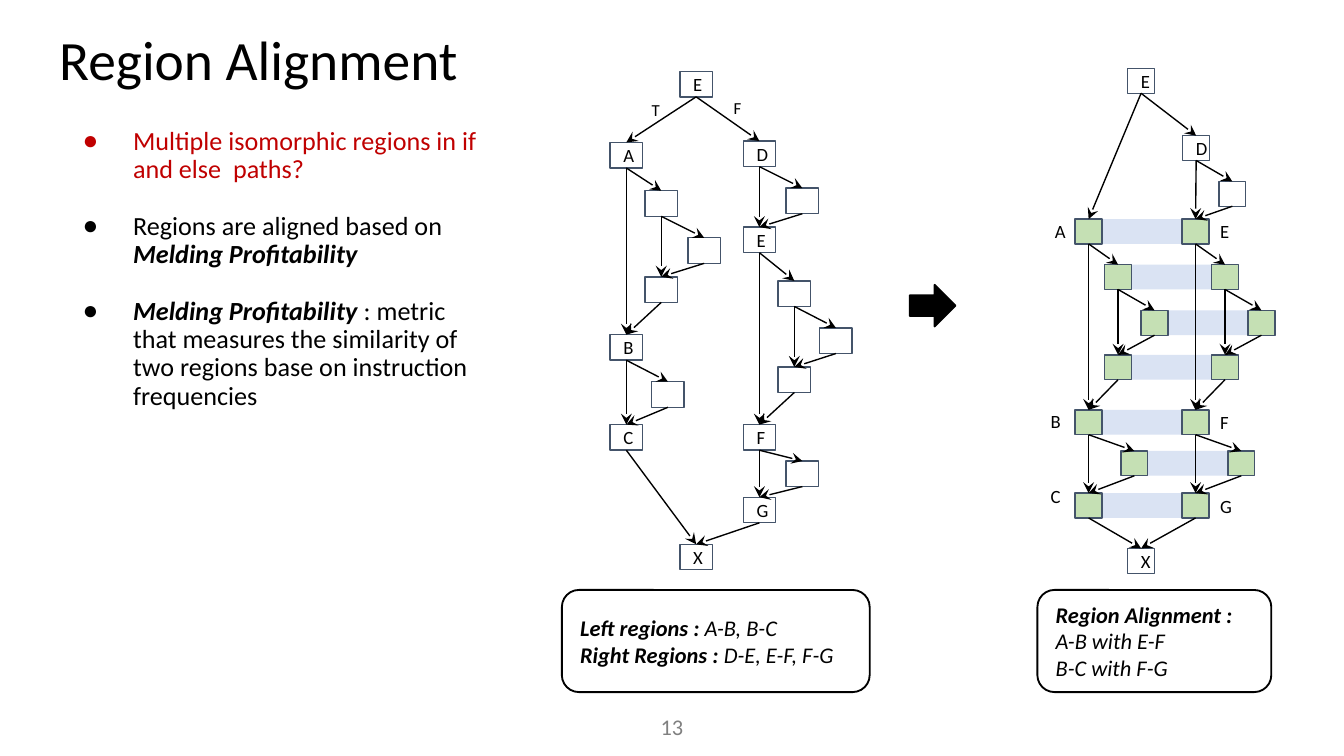
import pptx
import pptx.util
import pptx.dml.color
import pptx.enum.shapes
import pptx.enum.text
import pptx.oxml
import pptx.oxml.ns

Pt = pptx.util.Pt
qn = pptx.oxml.ns.qn
KIND = pptx.enum.shapes.MSO_SHAPE
ALIGN = pptx.enum.text.PP_ALIGN
MID = pptx.enum.text.MSO_ANCHOR.MIDDLE
COLORS = {"black": "000000", "red": "C00000", "gray": "808080", "white": "FFFFFF",
          "slate": "44546A", "green": "C5E0B4", "band": "DAE3F3"}
RGB = {name: pptx.dml.color.RGBColor.from_string(code) for name, code in COLORS.items()}


def write(par, text, size=10, color="black", bold=False, italic=False):
    run = par.add_run()
    run.text = text
    font = run.font
    font.name, font.size, font.bold, font.italic = "Calibri", Pt(size), bold, italic
    font.color.rgb = RGB[color]


def draw(kind, left, top, width, height, fill=None, line=None, weight=0.75):
    shape = slide.shapes.add_shape(kind, Pt(left), Pt(top), Pt(width), Pt(height))
    shape.shadow.inherit = False
    if fill:
        shape.fill.solid()
        shape.fill.fore_color.rgb = RGB[fill]
    else:
        shape.fill.background()
    if line:
        shape.line.color.rgb = RGB[line]
        shape.line.width = Pt(weight)
    else:
        shape.line.fill.background()
    return shape


deck = pptx.Presentation()
deck.slide_width, deck.slide_height = Pt(720), Pt(405)
slide = deck.slides.add_slide(deck.slide_layouts[1])

# Title and list
title, body = slide.placeholders
for holder, (left, top, width, height) in ((title, (24.5, 10.8, 671, 45.4)),
                                           (body, (28.1, 61.2, 239, 269.3))):
    holder.left, holder.top = Pt(left), Pt(top)
    holder.width, holder.height = Pt(width), Pt(height)
    frame = holder.text_frame
    frame.auto_size = pptx.enum.text.MSO_AUTO_SIZE.NONE
    frame.margin_left = frame.margin_right = Pt(7.2)
    frame.margin_top = frame.margin_bottom = Pt(7.2)
par = title.text_frame.paragraphs[0]
par.alignment = ALIGN.LEFT
par.line_spacing = 0.9
write(par, "Region Alignment", size=29.7)

strong = {"bold": True, "italic": True}
points = [
    [("Multiple isomorphic regions in if and else  paths?", {"color": "red"})],
    [("Regions are aligned based on ", {}), ("Melding Profitability", strong)],
    [("Melding Profitability ", strong),
     (": metric that measures the similarity of two regions base on instruction frequencies", {})],
]
frame = body.text_frame
for i, runs in enumerate(points):
    par = frame.add_paragraph() if i else frame.paragraphs[0]
    par.line_spacing = 0.9
    par.space_before = Pt(15.3 if i else 0)
    props = par._p.get_or_add_pPr()
    props.set("marL", str(Pt(36)))
    props.set("indent", str(Pt(-27)))
    pptx.oxml.ns  # bullet follows the spacing elements
    mark = props.makeelement(qn("a:buChar"), {"char": "●"})
    props.append(mark)
    for text, form in runs:
        write(par, text, size=14, **form)

# Graph nodes: name -> (left, top)
before = {
    "top": (364.3, 38.2), "A": (326.9, 76.3), "a1": (345.6, 102.2), "a2": (368.6, 127.4),
    "a3": (345.6, 148.3), "B": (326.9, 179.3), "b1": (349.2, 204.5), "C": (326.9, 227.5),
    "D": (398.2, 75.6), "d1": (421.2, 100.8), "E": (398.2, 121.7), "e1": (416.9, 150.5),
    "e2": (439.2, 175.7), "e3": (416.9, 196.6), "F": (398.2, 227.5), "f1": (421.2, 247),
    "G": (398.2, 266.4), "X": (364.3, 291.6),
}
after = {"top": (604.1, 36.7), "D": (633.6, 72.7), "d1": (653, 97.2), "X": (604.1, 293.8)}
pairs = {
    "A E": (576, 117.4), "a1 e1": (591.8, 141.8), "a2 e2": (611.3, 166.3),
    "a3 e3": (591.8, 190.1), "B F": (576, 219.6), "b1 f1": (600.5, 241.6),
    "C G": (576, 264.2),
}
shift = 57.3
melded = set()
for names, (left, top) in pairs.items():
    one, two = names.split()
    after[one], after[two] = (left, top), (left + shift, top)
    melded |= {one, two}
    draw(KIND.RECTANGLE, left + 14.4, top, shift - 14.4, 13.3, fill="band")

edges = ("top-A top-D A-B A-a1 a1-a2 a1-a3 a2-a3 a3-B B-b1 B-C b1-C C-X "
         "D-E D-d1 d1-E E-F E-e1 e1-e2 e1-e3 e2-e3 e3-F F-f1 F-G f1-G G-X").split()
for spots, width, height, green in ((before, 17.3, 13.7, set()), (after, 14.4, 13.3, melded)):
    nodes = {}
    for name, (left, top) in spots.items():
        node = draw(KIND.RECTANGLE, left, top, width, height,
                    fill="green" if name in green else None, line="slate")
        nodes[name] = node
        if name not in green and not name[-1].isdigit():
            frame = node.text_frame
            frame.vertical_anchor = MID
            frame.margin_left = frame.margin_right = Pt(7.2)
            frame.margin_top = frame.margin_bottom = Pt(7.2)
            frame.paragraphs[0].alignment = ALIGN.CENTER
            write(frame.paragraphs[0], "E" if name == "top" else name)
    for edge in edges:
        start, end = edge.split("-")
        link = slide.shapes.add_connector(pptx.enum.shapes.MSO_CONNECTOR.STRAIGHT, 0, 0, 0, 0)
        link.begin_connect(nodes[start], 2)
        link.end_connect(nodes[end], 0)
        link.line.color.rgb = RGB["black"]
        link.line.width = Pt(0.75)
        props = link._element.spPr
        stroke = props.find(qn("a:ln"))
        stroke.append(stroke.makeelement(qn("a:tailEnd"), {"type": "stealth"}))
        props.append(props.makeelement(qn("a:effectLst"), {}))

# Free labels
labels = [("T", 342, 49.7, 9), ("F", 385.9, 49, 9),
          ("A", 558, 114.5, 10), ("B", 555.8, 216, 10), ("C", 555.8, 256.3, 10),
          ("E", 646.6, 114.5, 10), ("F", 646.6, 216.7, 10), ("G", 646.6, 261.4, 10)]
for text, left, top, size in labels:
    label = slide.shapes.add_textbox(Pt(left), Pt(top), Pt(20), Pt(19))
    label.text_frame.word_wrap = True
    write(label.text_frame.paragraphs[0], text, size=size)

draw(KIND.RIGHT_ARROW, 487.4, 152.6, 24.5, 22.3, fill="black", line="black", weight=1)

# Captions: (bold part, plain part) for each line
captions = [
    (301, 164.9, [("Left regions : ", "A-B, B-C"), ("Right Regions : ", "D-E, E-F, F-G")]),
    (555.8, 125.3, [("Region Alignment :", ""), ("", "A-B with E-F"), ("", "B-C with F-G")]),
]
for left, width, lines in captions:
    card = draw(KIND.ROUNDED_RECTANGLE, left, 316.1, width, 54.7, "white", "black", 1)
    frame = card.text_frame
    frame.vertical_anchor = MID
    for i, parts in enumerate(lines):
        par = frame.add_paragraph() if i else frame.paragraphs[0]
        par.alignment = ALIGN.LEFT
        for text, bold in zip(parts, (True, False)):
            if text:
                write(par, text, size=12, bold=bold, italic=True)

number = slide.shapes.add_textbox(Pt(338.4), Pt(373.7), Pt(43.2), Pt(31))
number.text_frame.word_wrap = True
number.text_frame.vertical_anchor = MID
number.text_frame.paragraphs[0].alignment = ALIGN.CENTER
write(number.text_frame.paragraphs[0], "13", size=12, color="gray")

deck.save("out.pptx")
